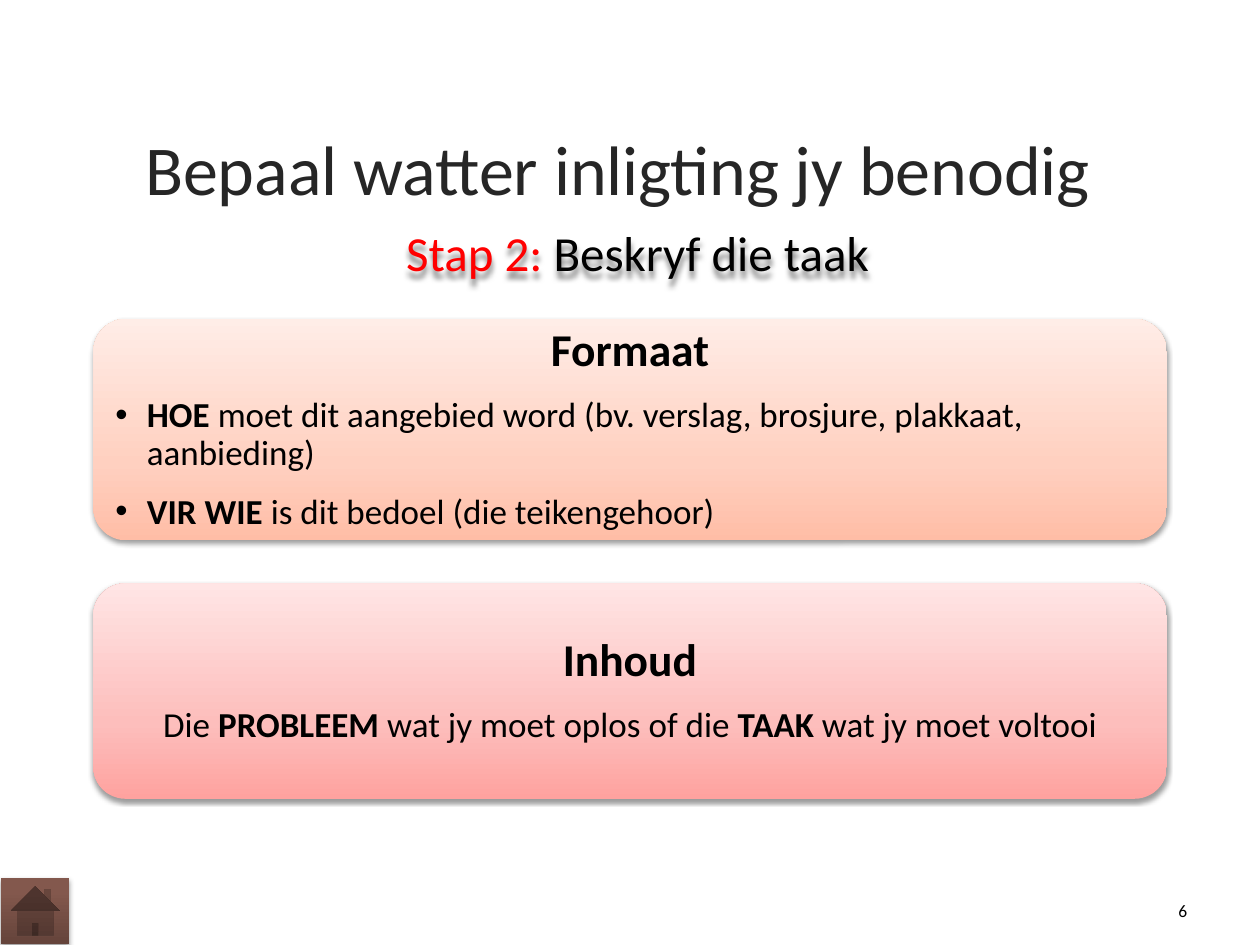
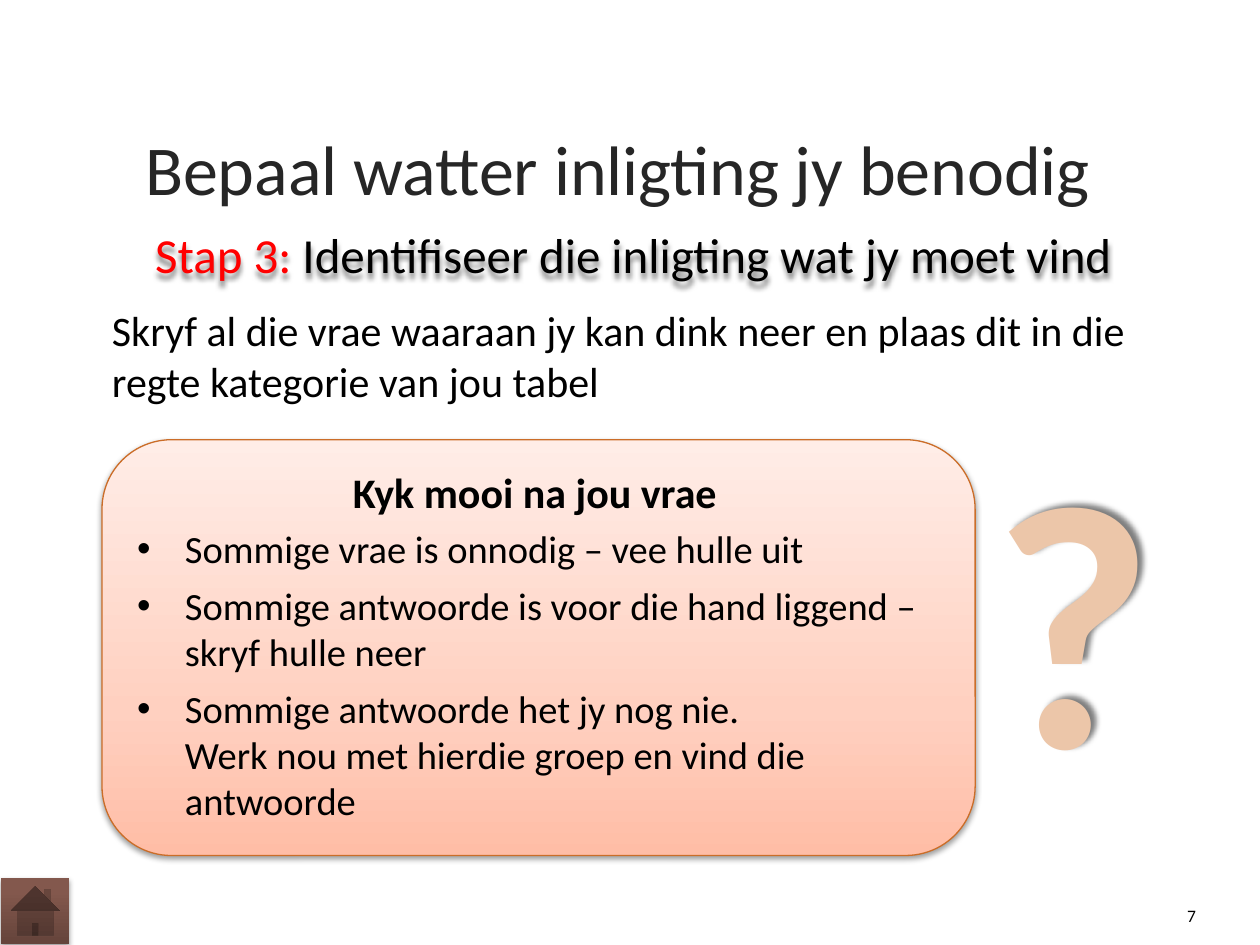
from dataclasses import dataclass
from typing import NamedTuple

from lxml.etree import SubElement
from pptx import Presentation
from pptx.dml.color import RGBColor
from pptx.enum.shapes import MSO_SHAPE as Preset
from pptx.enum.text import MSO_ANCHOR as Anchor, PP_ALIGN as Align
from pptx.oxml.ns import qn
from pptx.util import Inches, Pt

WIDTH, HEIGHT = Inches(10), Inches(7.5)
COLUMNS, ROWS = 100, 75
FONT = "Calibri"
BLACK, RED, TITLE_GREY, SAND, RUST = "000000", "FF0000", "262626", "ECC6A9", "CB6D28"
PEACH = ((0, "FFBDA6"), (35, "FFD0C0"), (100, "FFEDE7"))
PINK = ((0, "FEA29F"), (35, "FDBEBC"), (100, "FFE5E5"))
BROWN = ((0, "65443B"), (80, "83584D"), (100, "85584C"))
TITLE = "Bepaal watter inligting jy benodig "


class Box(NamedTuple):
    """A place on the slide, in grid columns and rows."""
    x: float
    y: float
    w: float
    h: float

    def emu(self) -> list[int]:
        col, row = WIDTH / COLUMNS, HEIGHT / ROWS
        return [round(v) for v in (self.x * col, self.y * row, self.w * col, self.h * row)]


class Run(NamedTuple):
    text: str
    bold: bool = False
    color: str = BLACK


@dataclass
class Para:
    runs: list[Run]
    size: float
    align: Align = Align.LEFT
    indent: float = 0
    after: float = 0
    spacing: float = 1.0


@dataclass
class Panel:
    box: Box
    stops: tuple
    paras: list[Para]


def rgb(value: str) -> RGBColor:
    return RGBColor.from_string(value)


def add_color(parent, value: str, alpha: int = 100) -> None:
    clr = SubElement(parent, qn("a:srgbClr"), val=value)
    if alpha < 100:
        SubElement(clr, qn("a:alpha"), val=str(alpha * 1000))


def add_shadow(sp, alpha: int = 38, blur: float = 3.1, dist: float = 1.6, angle: int = 90) -> None:
    sp.shadow.inherit = False
    effects = sp._element.spPr.find(qn("a:effectLst"))
    outer = SubElement(effects, qn("a:outerShdw"), blurRad=str(Pt(blur)), dist=str(Pt(dist)),
                       dir=str(angle * 60000), algn="ctr", rotWithShape="0")
    add_color(outer, BLACK, alpha)


def add_gradient(sp, stops: tuple) -> None:
    """Fill from the bottom edge up."""
    sp.fill.gradient()
    grad = sp._element.spPr.find(qn("a:gradFill"))
    grad.clear()
    stop_list = SubElement(grad, qn("a:gsLst"))
    for pos, color in stops:
        add_color(SubElement(stop_list, qn("a:gs"), pos=str(pos * 1000)), color)
    SubElement(grad, qn("a:lin"), ang=str(270 * 60000), scaled="0")


def add_bullet(p, indent: float) -> None:
    pPr = p._p.get_or_add_pPr()
    pPr.set("marL", str(Inches(indent)))
    pPr.set("indent", str(-Inches(indent)))
    SubElement(pPr, qn("a:buFont"), typeface="Arial")
    SubElement(pPr, qn("a:buChar"), char="•")


def write(sp, paras: list[Para], anchor: Anchor = Anchor.TOP) -> None:
    tf = sp.text_frame
    tf.word_wrap = True
    tf.vertical_anchor = anchor
    for i, para in enumerate(paras):
        p = tf.add_paragraph() if i else tf.paragraphs[0]
        p.alignment = para.align
        p.line_spacing = para.spacing
        p.space_after = Pt(para.after)
        if para.indent:
            add_bullet(p, para.indent)
        for run in para.runs:
            for n, line in enumerate(run.text.split("\n")):
                if n:
                    p.add_line_break()
                r = p.add_run()
                r.text = line
                r.font.name, r.font.size, r.font.bold = FONT, Pt(para.size), run.bold
                r.font.color.rgb = rgb(run.color)


def add_text(slide, box: Box, paras: list[Para], anchor: Anchor = Anchor.TOP):
    sp = slide.shapes.add_textbox(*box.emu())
    write(sp, paras, anchor)
    return sp


def add_block(slide, preset: Preset, box: Box, stops: tuple, line: str = ""):
    """Draw a shape with a gradient and a soft shadow."""
    sp = slide.shapes.add_shape(preset, *box.emu())
    add_gradient(sp, stops)
    if line:
        sp.line.color.rgb = rgb(line)
        sp.line.width = Pt(0.75)
    else:
        sp.line.fill.background()
    add_shadow(sp)
    return sp


def add_step_slide(prs, step: int, heading: str, heading_box: Box, number: int, number_box: Box):
    """Add a slide with the shared title, step heading, home button and number."""
    slide = prs.slides.add_slide(prs.slide_layouts[6])
    add_text(slide, Box(4.9, 9, 89.5, 8.6),
             [Para([Run(TITLE, color=TITLE_GREY)], 40, Align.CENTER)], Anchor.MIDDLE)
    runs = [Run(f"Stap {step}: ", color=RED), Run(heading)]
    add_shadow(add_text(slide, heading_box, [Para(runs, 28, Align.CENTER)]), alpha=50, dist=3)
    add_block(slide, Preset.ACTION_BUTTON_HOME, Box(0.1, 69.7, 5.4, 5.2), BROWN)
    add_text(slide, number_box, [Para([Run(str(number))], 10, Align.RIGHT)], Anchor.MIDDLE)
    return slide


def build_task_slide(prs) -> None:
    slide = add_step_slide(prs, 2, "Beskryf die taak", Box(19.6, 17.2, 62, 5.7),
                           6, Box(90.9, 70.7, 4.3, 3.1))

    def heading(text: str) -> Para:
        return Para([Run(text, True)], 26, Align.CENTER, after=12, spacing=0.9)

    def bullet(lead: str, rest: str) -> Para:
        return Para([Run(lead, True), Run(rest)], 20, indent=0.25, after=12, spacing=0.9)

    content = [Run("Die "), Run("PROBLEEM", True), Run(" wat jy moet oplos of die "),
               Run("TAAK", True), Run(" wat jy moet voltooi")]
    panels = [
        Panel(Box(7.4, 25.3, 85.2, 17.6), PEACH, [
            heading("Formaat"),
            bullet("HOE ", "moet dit aangebied word (bv. verslag, brosjure, plakkaat, aanbieding)"),
            bullet("VIR WIE ", "is dit bedoel (die teikengehoor)")]),
        Panel(Box(7.4, 46.3, 85.2, 17.1), PINK, [
            heading("Inhoud"), Para(content, 20, Align.CENTER, after=7, spacing=0.9)]),
    ]
    for panel in panels:
        sp = add_block(slide, Preset.ROUNDED_RECTANGLE, panel.box, panel.stops)
        sp.adjustments[0] = 0.15
        tf = sp.text_frame
        tf.margin_left = tf.margin_right = tf.margin_top = tf.margin_bottom = Inches(0.1)
        write(sp, panel.paras, Anchor.MIDDLE)


def build_questions_slide(prs) -> None:
    slide = add_step_slide(prs, 3, "Identifiseer die inligting wat jy moet vind",
                           Box(10.4, 17.3, 79.7, 5.7), 7, Box(91.6, 71.1, 4.3, 3.1))
    mark = add_text(slide, Box(77.6, 31.3, 15.1, 34.5),
                    [Para([Run("?", True, SAND)], 199, Align.CENTER)])
    add_shadow(mark, alpha=50, dist=4, angle=315)
    add_text(slide, Box(7.9, 23.7, 85.8, 9.1), [Para([Run(
        "Skryf al die vrae waaraan jy kan dink neer en plaas dit in die regte kategorie "
        "van jou tabel")], 24)])
    add_block(slide, Preset.ROUNDED_RECTANGLE, Box(8.1, 34.9, 69.3, 33), PEACH, RUST)
    add_text(slide, Box(26.9, 36.5, 31.1, 5),
             [Para([Run("Kyk mooi na jou vrae", True)], 24, Align.CENTER)])
    tips = ["Sommige vrae is onnodig – vee hulle uit",
            "Sommige antwoorde is voor die hand liggend – skryf hulle neer",
            "Sommige antwoorde het jy nog nie. \nWerk nou met hierdie groep en vind die antwoorde"]
    add_text(slide, Box(9.9, 41.2, 66.6, 24.9),
             [Para([Run(tip)], 22, indent=0.38, after=6) for tip in tips])


def main() -> None:
    prs = Presentation()
    prs.slide_width, prs.slide_height = WIDTH, HEIGHT
    build_task_slide(prs)
    build_questions_slide(prs)
    prs.save("out.pptx")


if __name__ == "__main__":
    main()
